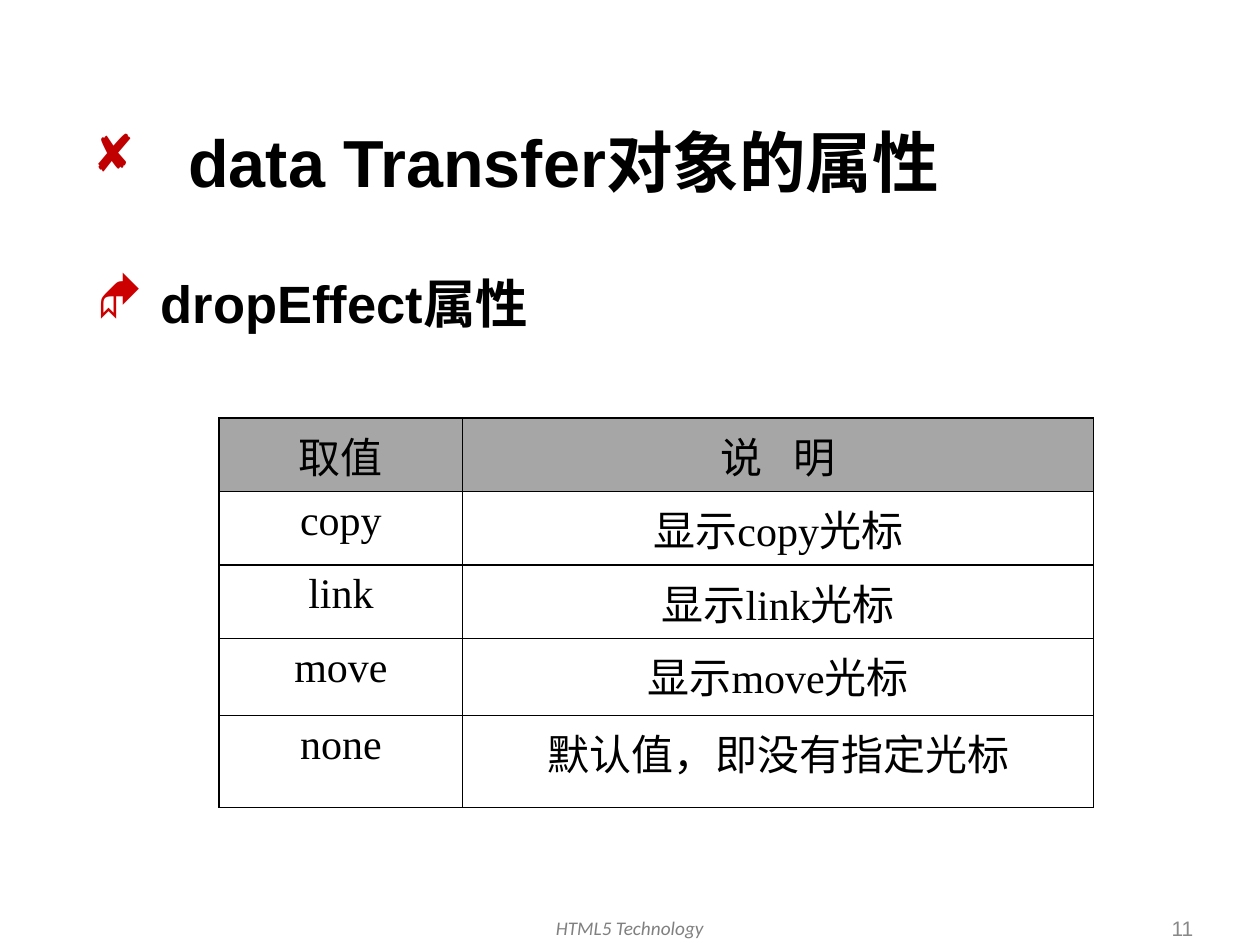
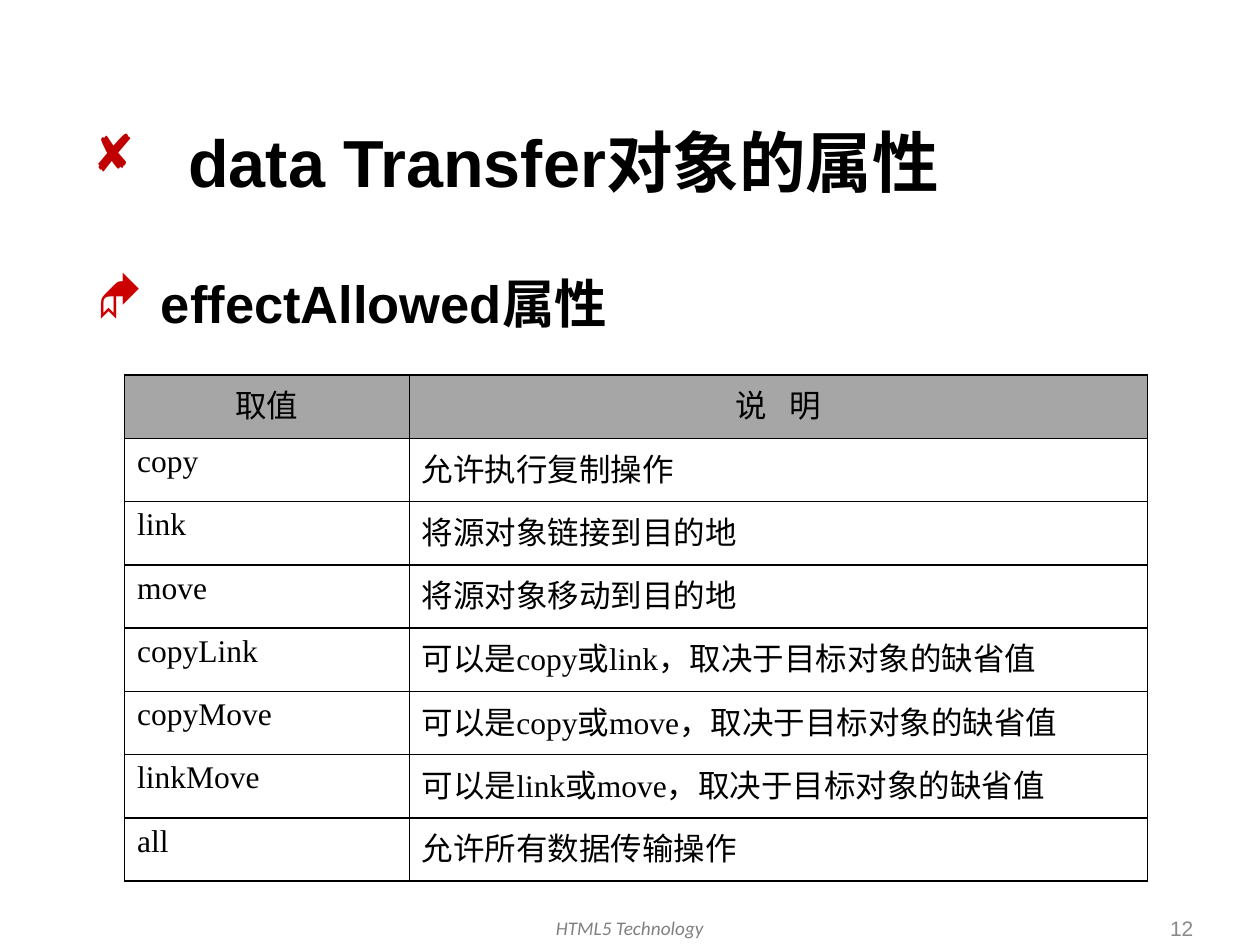
from lxml.etree import SubElement
from pptx import Presentation
from pptx.dml.color import RGBColor
from pptx.enum.text import MSO_ANCHOR as Anchor, MSO_AUTO_SIZE as AutoSize, PP_ALIGN as Align
from pptx.oxml.ns import qn
from pptx.util import Pt

BLACK, HEADER_GREY = "000000", "A6A6A6"
TITLE_BOX = (45.4, 65.5, 630, 62)
TOPIC_BOX = (48.2, 151.2, 630, 336)
FOOTER_BOX = (231.8, 519.8, 256.3, 23.8)
NUMBER_BOX = (527, 519.8, 162, 20.9)
TITLE_FONT = {"name": "Arial", "size": Pt(38), "bold": True}
TOPIC_FONT = {"name": "Arial", "size": Pt(30), "bold": True}
FOOTER_FONT = {"name": "Calibri", "size": Pt(11), "italic": True}
NUMBER_FONT = {"name": "Arial", "size": Pt(12)}
TITLE = "data Transfer对象的属性"
FOOTER = "HTML5 Technology"
HEADER = ("取值", "说 明")

SLIDES = [
    {
        "number": 11,
        "topic": "dropEffect属性",
        "origin": (125.2, 239),
        "widths": (139.2, 360.6),
        "heights": (42, 42, 42, 44, 52.6),
        "size": 24,
        "align": Align.CENTER,
        "entries": [
            ("copy", "显示copy光标"),
            ("link", "显示link光标"),
            ("move", "显示move光标"),
            ("none", "默认值，即没有指定光标"),
        ],
    },
    {
        "number": 12,
        "topic": "effectAllowed属性",
        "origin": (71.2, 214.3),
        "widths": (162.7, 421.9),
        "heights": (36.15,) * 8,
        "size": 18,
        "align": Align.LEFT,
        "entries": [
            ("copy", "允许执行复制操作"),
            ("link", "将源对象链接到目的地"),
            ("move", "将源对象移动到目的地"),
            ("copyLink", "可以是copy或link，取决于目标对象的缺省值"),
            ("copyMove", "可以是copy或move，取决于目标对象的缺省值"),
            ("linkMove", "可以是link或move，取决于目标对象的缺省值"),
            ("all", "允许所有数据传输操作"),
        ],
    },
]


def color(value):
    """Turn a hex string into a colour."""
    return RGBColor.from_string(value)


def write(frame, text, font, ink=BLACK, align=Align.LEFT):
    """Put one formatted line into a text frame and return its paragraph."""
    paragraph = frame.paragraphs[0]
    paragraph.alignment = align
    run = paragraph.add_run()
    run.text = text
    for name, value in font.items():
        setattr(run.font, name, value)
    run.font.color.rgb = color(ink)
    return paragraph


def add_bullet(paragraph, symbol, ink, indent):
    """Give a paragraph a coloured hanging bullet."""
    props = paragraph._p.get_or_add_pPr()
    props.set("marL", str(Pt(indent)))
    props.set("indent", str(-Pt(indent)))
    SubElement(SubElement(props, qn("a:buClr")), qn("a:srgbClr")).set("val", ink)
    SubElement(props, qn("a:buFont")).set("typeface", "Wingdings")
    SubElement(props, qn("a:buChar")).set("char", symbol)


def add_text(slide, box, anchor=Anchor.TOP):
    """Add a wrapping text box and return its frame."""
    frame = slide.shapes.add_textbox(*map(Pt, box)).text_frame
    frame.word_wrap = True
    frame.vertical_anchor = anchor
    return frame


def add_title(slide, box):
    """Place the slide title with its square bullet."""
    title = slide.shapes.title
    for name, value in zip(("left", "top", "width", "height"), box):
        setattr(title, name, Pt(value))
    frame = title.text_frame
    frame.auto_size = AutoSize.NONE
    frame.vertical_anchor = Anchor.TOP
    add_bullet(write(frame, TITLE, TITLE_FONT), "◻", "C00000", 55)


def add_topic(slide, box, topic):
    """Place the name of the property with its diamond bullet."""
    paragraph = write(add_text(slide, box), topic, TOPIC_FONT)
    paragraph.space_before = Pt(6)
    add_bullet(paragraph, "◆", "CC0000", 36.7)


def add_footer(slide, number):
    """Place the footer line and the slide number."""
    write(add_text(slide, FOOTER_BOX), FOOTER, FOOTER_FONT, "808080", Align.CENTER)
    write(add_text(slide, NUMBER_BOX, Anchor.MIDDLE), str(number), NUMBER_FONT,
          "898989", Align.RIGHT)


def add_borders(cell):
    """Draw thin black lines around a cell."""
    props = cell._tc.get_or_add_tcPr()
    for index, side in enumerate(("lnL", "lnR", "lnT", "lnB")):
        line = props.makeelement(qn(f"a:{side}"), {"w": str(Pt(1))})
        fill = SubElement(line, qn("a:solidFill"))
        SubElement(fill, qn("a:srgbClr")).set("val", BLACK)
        props.insert(index, line)


def add_values(slide, origin, widths, heights, size, align, entries):
    """Build the table of values and their meanings."""
    box = (*origin, sum(widths), sum(heights))
    rows = [HEADER, *entries]
    table = slide.shapes.add_table(len(rows), len(HEADER), *map(Pt, box)).table
    table.first_row = table.horz_banding = False
    for column, width in zip(table.columns, widths):
        column.width = Pt(width)
    for row, height, texts in zip(table.rows, heights, rows):
        row.height = Pt(height)
        is_header = texts is HEADER
        for cell, text in zip(row.cells, texts):
            if is_header:
                cell.fill.solid()
                cell.fill.fore_color.rgb = color(HEADER_GREY)
            else:
                cell.fill.background()
            add_borders(cell)
            paragraph = write(cell.text_frame, text,
                              {"name": "Times New Roman", "size": Pt(size)},
                              align=Align.CENTER if is_header else align)
            if text == HEADER[1]:
                paragraph.runs[0]._r.get_or_add_rPr().set("spc", str(size * 25))


def add_property_slide(deck, number, topic, **values):
    """Add one slide that explains a property."""
    slide = deck.slides.add_slide(deck.slide_layouts[5])
    add_topic(slide, TOPIC_BOX, topic)
    add_footer(slide, number)
    add_title(slide, TITLE_BOX)
    add_values(slide, **values)


def main():
    """Build and save the deck."""
    deck = Presentation()
    deck.slide_width, deck.slide_height = Pt(720), Pt(540)
    for content in SLIDES:
        add_property_slide(deck, **content)
    deck.save("out.pptx")


if __name__ == "__main__":
    main()
